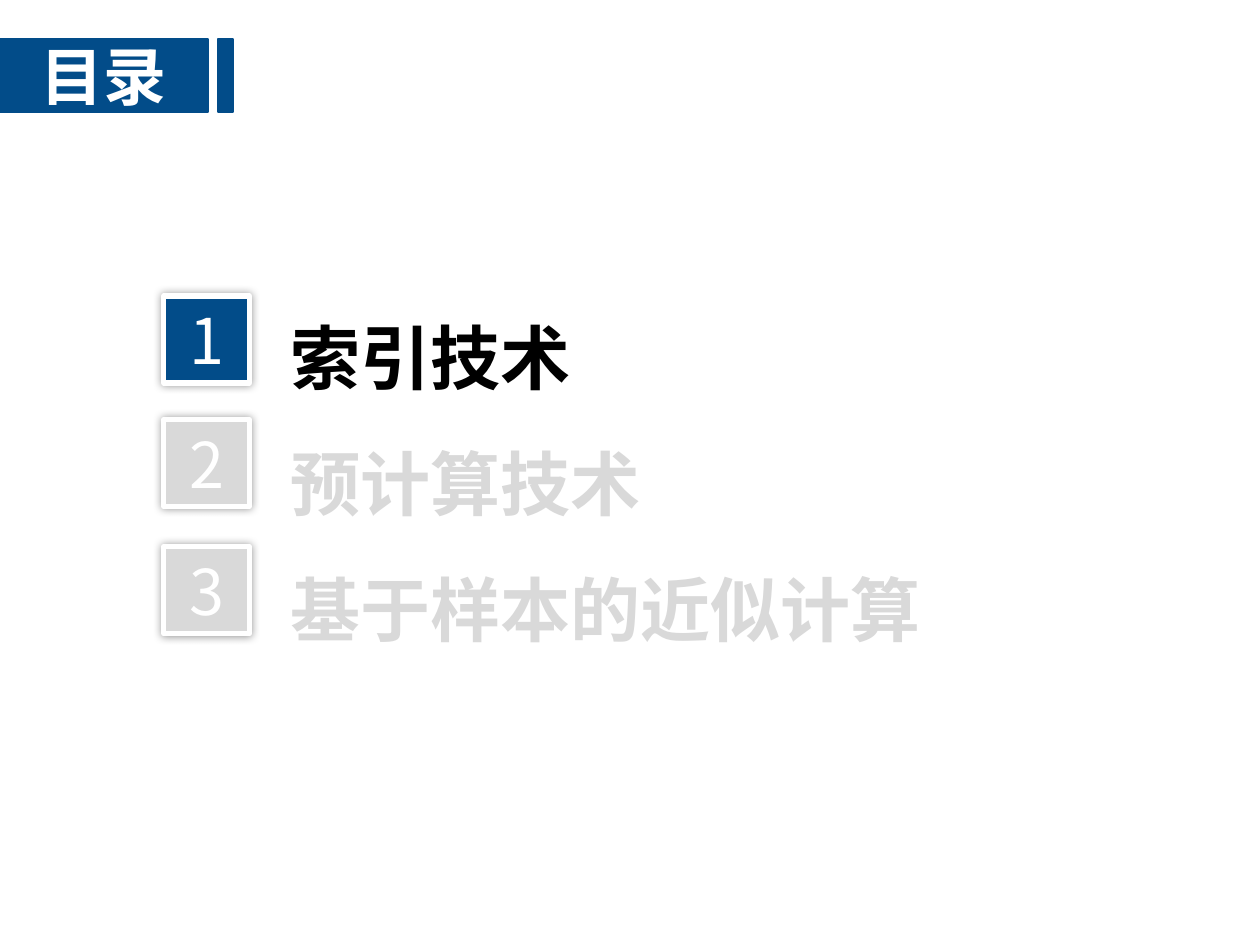
"""Builds the contents slide with the first of three topics highlighted."""
from lxml import etree
from pptx import Presentation
from pptx.dml.color import RGBColor
from pptx.enum.shapes import MSO_SHAPE
from pptx.enum.text import MSO_ANCHOR, PP_ALIGN
from pptx.oxml.ns import qn
from pptx.util import Inches, Pt

RECTANGLE = MSO_SHAPE.RECTANGLE
MIDDLE = MSO_ANCHOR.MIDDLE
CENTER = PP_ALIGN.CENTER
BLUE = RGBColor(0x02, 0x4C, 0x89)
GRAY = RGBColor(0xD9, 0xD9, 0xD9)
WHITE = RGBColor(0xFF, 0xFF, 0xFF)
BLACK = RGBColor(0x00, 0x00, 0x00)
FONT = "Noto Sans CJK TC"


def add_span(para, text, size, color, bold=False):
    span = para.add_run()
    span.text = text
    span.font.size = Pt(size)
    span.font.bold = bold
    span.font.color.rgb = color
    span.font.name = FONT
    etree.SubElement(span.font._element, qn("a:ea"), typeface=FONT)


def paint(shape, fill, line, width):
    shape.fill.solid()
    shape.fill.fore_color.rgb = fill
    shape.line.color.rgb = line
    shape.line.width = Pt(width)


deck = Presentation()
deck.slide_width = Inches(10)
deck.slide_height = Inches(7.5)
page = deck.slides.add_slide(deck.slide_layouts[5])

title = page.shapes.title
title.left, title.top = Inches(0), Inches(0.31)
title.width, title.height = Inches(1.65), Inches(0.58)
paint(title, BLUE, BLUE, 1)
title.text_frame.vertical_anchor = MIDDLE
title_para = title.text_frame.paragraphs[0]
title_para.alignment = CENTER
add_span(title_para, "目录", 36, WHITE, True)

accent = page.shapes.add_shape(RECTANGLE, Inches(1.73), Inches(0.31), Inches(0.12), Inches(0.58))
accent.shadow.inherit = False
paint(accent, BLUE, BLUE, 1)

topics_box = page.shapes.add_textbox(Inches(2.21), Inches(2.08), Inches(6.25), Inches(4.02))
topics = topics_box.text_frame
topics.word_wrap = True
topics.margin_top = Inches(0.08)

entries = [
    ("索引技术", 2.35, BLUE, BLACK),
    ("预计算技术", 3.33, GRAY, GRAY),
    ("基于样本的近似计算", 4.34, GRAY, GRAY),
]
for number, (topic, top, tile_color, text_color) in enumerate(entries, 1):
    para = topics.paragraphs[0] if number == 1 else topics.add_paragraph()
    para.line_spacing = Pt(72)
    add_span(para, topic, 40, text_color, True)

    tile = page.shapes.add_shape(RECTANGLE, Inches(1.3), Inches(top), Inches(0.68), Inches(0.69))
    paint(tile, tile_color, WHITE, 3)
    tile.shadow.inherit = False
    effects = tile._element.spPr.find(qn("a:effectLst"))
    shadow = etree.SubElement(effects, qn("a:outerShdw"), blurRad=str(Pt(5)), dist="0", dir="0")
    shadow_color = etree.SubElement(shadow, qn("a:srgbClr"), val=str(BLACK))
    etree.SubElement(shadow_color, qn("a:alpha"), val="40000")
    tile.text_frame.vertical_anchor = MIDDLE
    tile_para = tile.text_frame.paragraphs[0]
    tile_para.alignment = CENTER
    add_span(tile_para, str(number), 36, WHITE)

deck.save("out.pptx")
